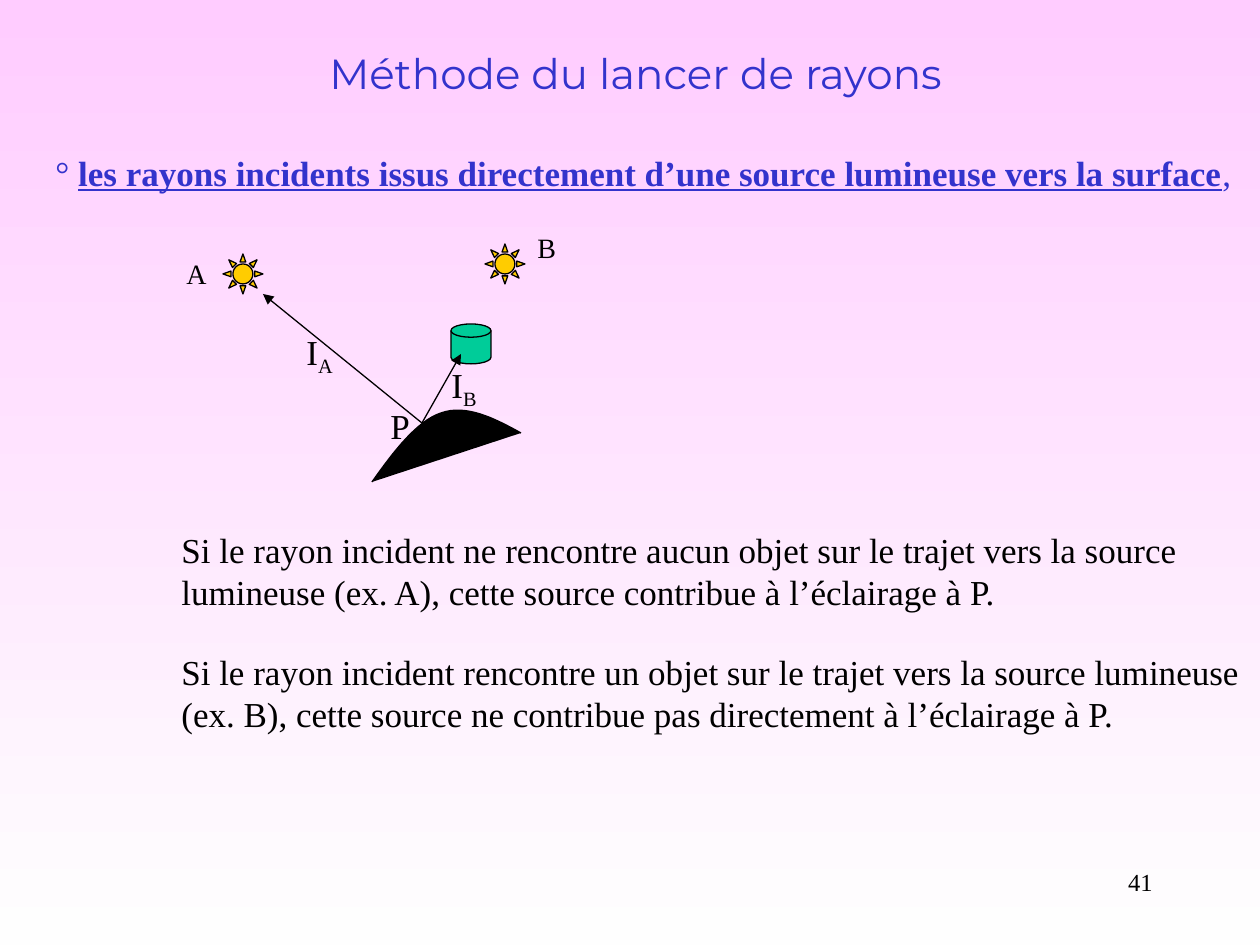
from lxml.etree import SubElement
from pptx import Presentation
from pptx.dml.color import RGBColor
from pptx.enum.shapes import MSO_CONNECTOR, MSO_SHAPE
from pptx.enum.text import MSO_ANCHOR, MSO_AUTO_SIZE, PP_ALIGN
from pptx.oxml.ns import qn
from pptx.util import Emu, Pt

PX = 914400 / 126
FONT, TITLE_FONT = "Times New Roman", "Montserrat"
BLACK, BLUE, YELLOW, GREEN = "000000", "3333CC", "FFCC00", "00CC99"


def px(n):
    return Emu(round(n * PX))


def rgb(h):
    return RGBColor.from_string(h)


def add_run(p, text, size=20, font=FONT, color=BLACK, bold=False, underline=False, baseline=0):
    r = p.add_run()
    r.text = text
    f = r.font
    f.size, f.name, f.bold, f.underline = Pt(size), font, bold, underline
    f.color.rgb = rgb(color)
    if baseline:
        r._r.get_or_add_rPr().set("baseline", str(baseline * 1000))


def bezier(a, b, c, d, n=16):
    for i in range(1, n + 1):
        t = i / n
        yield tuple((1 - t) ** 3 * w + 3 * t * (1 - t) ** 2 * x + 3 * t * t * (1 - t) * y + t ** 3 * z
                    for w, x, y, z in zip(a, b, c, d))


class Slide:
    """Holds the drawing style and the current slide."""

    def __init__(self, prs, line_width=0.75):
        self.s = prs.slides.add_slide(prs.slide_layouts[5])
        self.line_width = Pt(line_width)

    def background(self, top, bottom):
        fill = self.s.background.fill
        fill.gradient()
        fill.gradient_angle = 270
        for stop, color in zip(fill.gradient_stops, (top, bottom)):
            stop.color.rgb = rgb(color)

    def title(self, text, x, y, w, h):
        sp = self.s.shapes.title
        sp.left, sp.top, sp.width, sp.height = map(px, (x, y, w, h))
        tf = sp.text_frame
        tf.auto_size, tf.vertical_anchor = MSO_AUTO_SIZE.NONE, MSO_ANCHOR.MIDDLE
        p = tf.paragraphs[0]
        p.alignment = PP_ALIGN.CENTER
        add_run(p, text, size=24, font=TITLE_FONT, color=BLUE)

    def text(self, x, y, w, h, *lines, wrap=False, align=PP_ALIGN.LEFT, **style):
        tf = self.s.shapes.add_textbox(*map(px, (x, y, w, h))).text_frame
        tf.word_wrap = wrap
        for i, line in enumerate(lines):
            p = tf.add_paragraph() if i else tf.paragraphs[0]
            p.alignment = align
            for text, extra in [(line, {})] if isinstance(line, str) else line:
                add_run(p, text, **{**style, **extra})

    def paint(self, sp, fill):
        sp.shadow.inherit = False
        sp.fill.solid()
        sp.fill.fore_color.rgb = rgb(fill)
        sp.line.color.rgb = rgb(BLACK)
        sp.line.width = self.line_width

    def shape(self, kind, x, y, size, fill):
        self.paint(self.s.shapes.add_shape(kind, *map(px, (x, y, size, size))), fill)

    def curve(self, start, *segments, fill=BLACK):
        points, last = [], start
        for seg in segments:
            points += bezier(last, *seg)
            last = seg[-1]
        fb = self.s.shapes.build_freeform(*map(px, start))
        fb.add_line_segments([(px(x), px(y)) for x, y in points], close=False)
        self.paint(fb.convert_to_shape(), fill)

    def arrow(self, start, end):
        c = self.s.shapes.add_connector(MSO_CONNECTOR.STRAIGHT, *map(px, start + end))
        c.line.color.rgb = rgb(BLACK)
        c.line.width = self.line_width
        SubElement(c.line._get_or_add_ln(), qn("a:tailEnd"), type="triangle")
        SubElement(c._element.spPr, qn("a:effectLst"))


def main():
    prs = Presentation()
    prs.slide_width, prs.slide_height = px(1260), px(945)
    s = Slide(prs)
    s.background("FFCCFF", "FEFEFE")
    s.title("Méthode du lancer de rayons", 32, 20, 1207, 105)
    s.text(43, 145, 1204, 55, [
        ("° ", {}),
        ("les rayons incidents issus directement d’une source lumineuse vers la surface",
         {"bold": True, "underline": True}),
        (",", {})], color=BLUE)

    point = (422, 423)
    s.shape(MSO_SHAPE.SUN, 223, 254, 40, YELLOW)
    s.curve((372, 482), ((394, 451), (417, 421), (441, 413)), ((466, 404), (494, 418), (521, 433)))
    s.arrow(point, (263, 294))
    s.text(378, 398, 46, 55, "P")
    s.shape(MSO_SHAPE.SUN, 485, 244, 40, YELLOW)
    s.shape(MSO_SHAPE.FLOWCHART_MAGNETIC_DISK, 451, 324, 40, GREEN)
    s.arrow(point, (461, 354))
    for name, x, y, ray_x, ray_y in (("A", 174, 250, 294, 324), ("B", 525, 224, 439, 357)):
        s.text(x, y, 48, 47, name, size=16)
        s.text(ray_x, ray_y, 58, 60, [("I", {}), (name, {"baseline": -25})])

    s.text(169, 522, 1024, 97,
           "Si le rayon incident ne rencontre aucun objet sur le trajet vers la source",
           "lumineuse (ex. A), cette source contribue à l’éclairage à P.")
    s.text(169, 644, 1086, 97,
           "Si le rayon incident rencontre un objet sur le trajet vers la source lumineuse",
           "(ex. B), cette source ne contribue pas directement à l’éclairage à P.")
    s.text(903, 861, 262, 63, "41", wrap=True, align=PP_ALIGN.RIGHT, size=14)
    prs.save("out.pptx")


if __name__ == "__main__":
    main()
